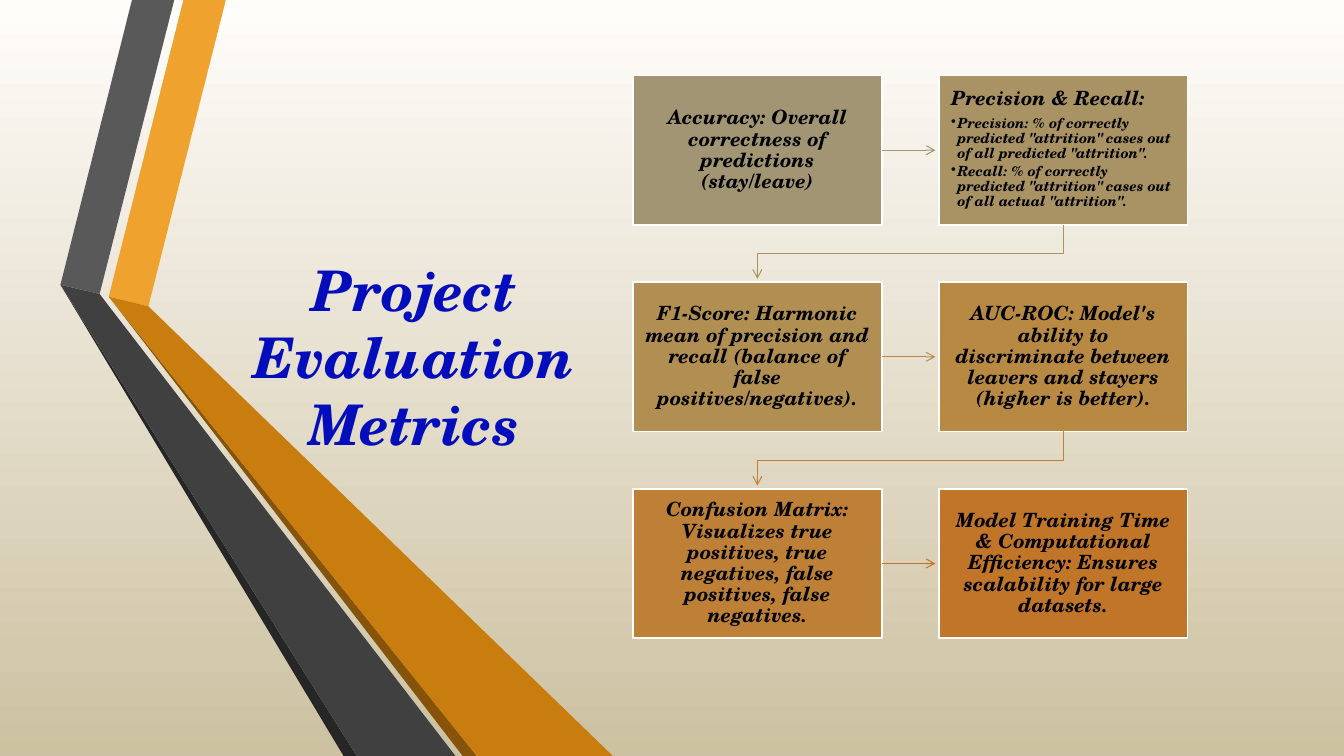
"""Build the Project Evaluation Metrics slide."""
from dataclasses import dataclass

from pptx import Presentation
from pptx.dml.color import RGBColor
from pptx.enum.shapes import MSO_CONNECTOR, MSO_SHAPE
from pptx.enum.text import MSO_ANCHOR, PP_ALIGN
from pptx.oxml.ns import qn
from pptx.oxml.xmlchemy import OxmlElement
from pptx.util import Pt

TITLE = "Project Evaluation Metrics"

METRICS = [
    ("A19574", ["Accuracy: Overall correctness of predictions (stay/leave)"]),
    ("A99364", [
        "Precision & Recall:",
        'Precision: % of correctly predicted "attrition" cases out of all predicted "attrition".',
        'Recall: % of correctly predicted "attrition" cases out of all actual "attrition".',
    ]),
    ("B18F53", ["F1-Score: Harmonic mean of precision and recall "
                "(balance of false positives/negatives)."]),
    ("B88943", ["AUC-ROC: Model's ability to discriminate between leavers "
                "and stayers (higher is better)."]),
    ("BD8036", ["Confusion Matrix: Visualizes true positives, true negatives, "
                "false positives, false negatives."]),
    ("C17529", ["Model Training Time & Computational Efficiency: "
                "Ensures scalability for large datasets."]),
]
ARROW_COLORS = ["A19574", "AB9260", "B58C4A", "BC8239", "C17529"]

RIBBONS = [
    ("F0A22E", [(77.7, 211.9), (106, 218.8), (161.3, 0), (131, 0)]),
    ("595959", [(71.2, 210), (124.5, 0), (94.3, 0), (43.2, 203.4)]),
    ("262626", [(43.2, 203.4), (245.5, 540), (254.9, 540)]),
    ("85540A", [(77.7, 211.9), (330.5, 540), (340.6, 540)]),
    ("C87D0E", [(77.7, 211.9), (340.6, 540), (437.8, 540), (106, 218.8)]),
    ("404040", [(43.2, 203.4), (254.9, 540), (325.4, 540), (76.3, 216.7), (71.2, 210)]),
]


@dataclass(frozen=True)
class Theme:
    """Colours, font and type sizes."""
    font: str = "TeX Gyre Schola"
    title_color: str = "040DBC"
    text_color: str = "000000"
    border: str = "FFFFFF"
    background: tuple = ("FFFDFA", "CCC1A1")
    title_size: float = 40
    body_size: float = 14
    bullet_size: float = 10


THEME = Theme()
COLUMNS = 2
GRID_LEFT, GRID_TOP = 452.2, 54
BOX_WIDTH, BOX_HEIGHT = 177.6, 106.6
COLUMN_STEP, ROW_STEP = 218.4, 147.6
ARROW_GAP = 2.4


def color(value):
    return RGBColor.from_string(value)


def write(frame, text, size, fill, first=False, align=PP_ALIGN.CENTER,
          spacing=None, after=0, bullet=False):
    """Write one paragraph of bold italic text."""
    paragraph = frame.paragraphs[0] if first else frame.add_paragraph()
    paragraph.alignment = align
    paragraph.space_after = Pt(after)
    if spacing:
        paragraph.line_spacing = spacing
    run = paragraph.add_run()
    run.text = text
    font = run.font
    font.name, font.size, font.bold, font.italic = THEME.font, Pt(size), True, True
    font.color.rgb = color(fill)
    if bullet:
        properties = paragraph._p.get_or_add_pPr()
        properties.set("marL", str(Pt(4.5)))
        properties.set("indent", str(Pt(-4.5)))
        mark = OxmlElement("a:buChar")
        mark.set("char", "•")
        properties.append(mark)


def add_outline(slide, points, closed):
    """Draw a polygon or an open polyline through the points."""
    start, *rest = [(Pt(x), Pt(y)) for x, y in points]
    builder = slide.shapes.build_freeform(*start)
    builder.add_line_segments(rest, close=closed)
    shape = builder.convert_to_shape()
    shape.shadow.inherit = False
    return shape


def add_ribbon(slide, fill, points):
    ribbon = add_outline(slide, points, closed=True)
    ribbon.fill.solid()
    ribbon.fill.fore_color.rgb = color(fill)
    ribbon.line.fill.background()


def add_title(slide):
    frame = slide.shapes.add_textbox(Pt(136.1), Pt(185.8), Pt(319), Pt(137.5)).text_frame
    frame.word_wrap = True
    frame.vertical_anchor = MSO_ANCHOR.MIDDLE
    write(frame, TITLE, THEME.title_size, THEME.title_color, first=True, after=6)


def box_position(index):
    row, column = divmod(index, COLUMNS)
    return GRID_LEFT + column * COLUMN_STEP, GRID_TOP + row * ROW_STEP


def add_metric(slide, index, fill, lines):
    left, top = box_position(index)
    box = slide.shapes.add_shape(MSO_SHAPE.RECTANGLE, Pt(left), Pt(top),
                                 Pt(BOX_WIDTH), Pt(BOX_HEIGHT))
    box.shadow.inherit = False
    box.fill.solid()
    box.fill.fore_color.rgb = color(fill)
    box.line.color.rgb = color(THEME.border)
    box.line.width = Pt(1.25)
    frame = box.text_frame
    frame.word_wrap = True
    frame.margin_left = frame.margin_right = Pt(8.7)
    frame.margin_top = frame.margin_bottom = Pt(9.1)
    listed = len(lines) > 1
    frame.vertical_anchor = MSO_ANCHOR.TOP if listed else MSO_ANCHOR.MIDDLE
    align = PP_ALIGN.LEFT if listed else PP_ALIGN.CENTER
    heading, *bullets = lines
    write(frame, heading, THEME.body_size, THEME.text_color, first=True,
          align=align, spacing=0.9, after=4.9)
    for text in bullets:
        write(frame, text, THEME.bullet_size, THEME.text_color,
              align=align, spacing=0.9, after=1.5, bullet=True)
    return box


def style_arrow(shape, fill):
    shape.line.color.rgb = color(fill)
    shape.line.width = Pt(0.75)
    head = OxmlElement("a:tailEnd")
    head.set("type", "arrow")
    shape._element.spPr.find(qn("a:ln")).append(head)


def add_row_arrow(slide, index, box, fill):
    """Point from a box to its right-hand neighbour."""
    left, top = box_position(index)
    middle = top + BOX_HEIGHT / 2
    arrow = slide.shapes.add_connector(
        MSO_CONNECTOR.STRAIGHT, Pt(left + BOX_WIDTH), Pt(middle),
        Pt(left + COLUMN_STEP - ARROW_GAP), Pt(middle))
    arrow.begin_connect(box, 3)
    style_arrow(arrow, fill)
    arrow._element.spPr.append(OxmlElement("a:effectLst"))


def add_turn_arrow(slide, index, fill):
    """Lead from the end of one row to the start of the next."""
    (left, top), (next_left, next_top) = box_position(index), box_position(index + 1)
    start, end = left + BOX_WIDTH / 2, next_left + BOX_WIDTH / 2
    bottom = top + BOX_HEIGHT
    bend = (bottom + next_top) / 2
    arrow = add_outline(slide, [(start, bottom), (start, bend), (end, bend),
                                (end, next_top - ARROW_GAP)], closed=False)
    arrow.fill.background()
    style_arrow(arrow, fill)


def main():
    presentation = Presentation()
    presentation.slide_width, presentation.slide_height = Pt(960), Pt(540)
    slide = presentation.slides.add_slide(presentation.slide_layouts[6])
    background = slide.background.fill
    background.gradient()
    background.gradient_angle = 270
    for stop, value in zip(background.gradient_stops, THEME.background):
        stop.color.rgb = color(value)
    for fill, points in RIBBONS:
        add_ribbon(slide, fill, points)
    add_title(slide)
    boxes = [add_metric(slide, index, *metric) for index, metric in enumerate(METRICS)]
    for index, fill in enumerate(ARROW_COLORS):
        if index % COLUMNS < COLUMNS - 1:
            add_row_arrow(slide, index, boxes[index], fill)
        else:
            add_turn_arrow(slide, index, fill)
    presentation.save("out.pptx")


if __name__ == "__main__":
    main()
